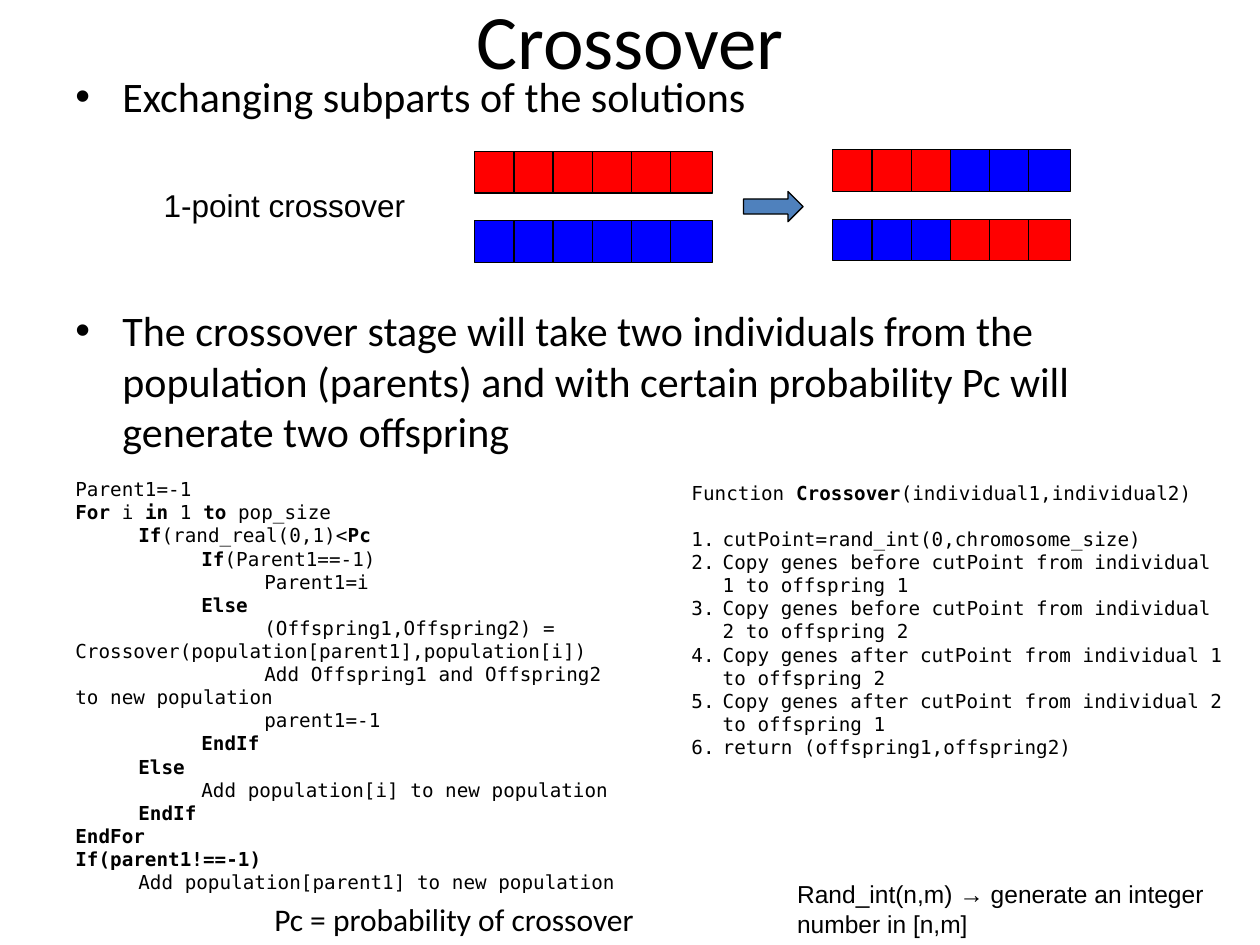
from lxml import etree
from pptx import Presentation
from pptx.dml.color import RGBColor
from pptx.enum.shapes import MSO_SHAPE
from pptx.enum.text import MSO_ANCHOR, PP_ALIGN
from pptx.oxml.ns import qn
from pptx.util import Cm, Pt

RECT, ARROW = MSO_SHAPE.RECTANGLE, MSO_SHAPE.RIGHT_ARROW
MIDDLE, CENTER = MSO_ANCHOR.MIDDLE, PP_ALIGN.CENTER
BLACK = RGBColor(0, 0, 0)
RED = RGBColor(255, 0, 0)
BLUE = RGBColor(0, 0, 255)
STEEL = RGBColor(0x4F, 0x81, 0xBD)
MONO = "DejaVu Sans Mono"
TAB = 1.27
CELL, STEP, DROP = 0.84, 0.79, 1.4

POINTS = [
    "Exchanging subparts of the solutions",
    "The crossover stage will take two individuals from the population "
    "(parents) and with certain probability Pc will generate two offspring",
]
# Indent level and text of each line; words between asterisks are bold.
LOOP = [
    (0, "Parent1=-1"),
    (0, "*For *i *in* 1 *to *pop_size"),
    (1, "*If*(rand_real(0,1)<*Pc*"),
    (2, "*If*(Parent1==-1)"),
    (3, "Parent1=i"),
    (2, "*Else*"),
    (3, "(Offspring1,Offspring2) = Crossover(population[parent1],population[i])"),
    (3, "Add Offspring1 and Offspring2 to new population"),
    (3, "parent1=-1"),
    (2, "*EndIf*"),
    (1, "*Else*"),
    (2, "Add population[i] to new population"),
    (1, "*EndIf*"),
    (0, "*EndFor*"),
    (0, "*If(parent1!==-1)*"),
    (1, "Add population[parent1] to new population"),
]
HEAD = "Function *Crossover*(individual1,individual2)"
STEPS = [
    "cutPoint=rand_int(0,chromosome_size)",
    "Copy genes before cutPoint from individual 1 to offspring 1",
    "Copy genes before cutPoint from individual 2 to offspring 2",
    "Copy genes after cutPoint from individual 1 to offspring 2",
    "Copy genes after cutPoint from individual 2 to offspring 1",
    "return (offspring1,offspring2)",
]


def add_text(slide, box, lines, size, face, wrap=True):
    """Add a text box with one paragraph per line and return its frame."""
    frame = slide.shapes.add_textbox(*map(Cm, box)).text_frame
    frame.word_wrap = wrap
    for i, line in enumerate(lines):
        para = frame.add_paragraph() if i else frame.paragraphs[0]
        for j, part in enumerate(line.split("*")):
            if part:
                run = para.add_run()
                run.text = part
                run.font.bold = j % 2 == 1
                run.font.size = Pt(size)
                run.font.name = face
                run.font.color.rgb = BLACK
    return frame


def indent(para, left, first):
    props = para._p.get_or_add_pPr()
    props.set("marL", str(Cm(left)))
    props.set("indent", str(Cm(first)))
    return props


def add_mark(para, hang, tag, **attrs):
    """Hang the paragraph behind a bullet or number."""
    props = indent(para, hang, -hang)
    if tag == "a:buChar":
        etree.SubElement(props, qn("a:buFont"), typeface="Arial")
    etree.SubElement(props, qn(tag), **attrs)


def add_block(slide, kind, box, fill):
    shape = slide.shapes.add_shape(kind, *map(Cm, box))
    shape.shadow.inherit = False
    shape.fill.solid()
    shape.fill.fore_color.rgb = fill
    shape.line.color.rgb = BLACK
    shape.line.width = Pt(0.75)


def add_pair(slide, left, top, rows):
    """Draw two chromosomes, one above the other."""
    for i, row in enumerate(rows):
        for j, fill in enumerate(row):
            box = (left + j * STEP, top + i * DROP, CELL, CELL)
            add_block(slide, RECT, box, fill)


def add_title(slide, box):
    frame = add_text(slide, box, ["Crossover"], 44, "Calibri")
    frame.vertical_anchor = MIDDLE
    frame.paragraphs[0].alignment = CENTER


def add_points(slide, box):
    frame = add_text(slide, box, POINTS, 24, "Calibri")
    for para in frame.paragraphs:
        add_mark(para, 0.95, "a:buChar", char="•")
    frame.paragraphs[1].space_before = Pt(105)


def add_swap(slide, left, top):
    """Show parents, arrow and offspring of a one-point crossover."""
    label = (left, top + 0.61, 5.44, 1.02)
    add_text(slide, label, ["1-point crossover"], 18, "Arial", False)
    add_pair(slide, left + 6.52, top + 0.03, [[RED] * 6, [BLUE] * 6])
    add_pair(slide, left + 13.74, top,
             [[RED] * 3 + [BLUE] * 3, [BLUE] * 3 + [RED] * 3])
    add_block(slide, ARROW, (left + 11.94, top + 0.84, 1.2, 0.61), STEEL)


def add_loop(slide, box):
    frame = add_text(slide, box, [line for _, line in LOOP], 11, MONO)
    for para, (level, _) in zip(frame.paragraphs, LOOP):
        indent(para, 0, level * TAB)


def add_steps(slide, box):
    frame = add_text(slide, box, [HEAD] + STEPS, 11, MONO)
    head, *steps = frame.paragraphs
    head.space_after = Pt(13)
    for para in steps:
        add_mark(para, 0.63, "a:buAutoNum", type="arabicPeriod")


def add_notes(slide):
    add_text(slide, (15.82, 17.6, 9.58, 1.45),
             ["Rand_int(n,m) → generate an integer number in [n,m]"],
             14, "Arial")
    add_text(slide, (5.28, 18.01, 7.9, 1.02),
             ["Pc = probability of crossover"], 18, "Calibri", False)


def main():
    deck = Presentation()
    deck.slide_width, deck.slide_height = Cm(25.4), Cm(19.05)
    slide = deck.slides.add_slide(deck.slide_layouts[6])
    add_title(slide, (1.27, -0.81, 22.86, 3.18))
    add_points(slide, (1.27, 1.3, 22.86, 12.57))
    add_swap(slide, 3.05, 3.02)
    add_loop(slide, (1.27, 9.5, 11.56, 10.13))
    add_steps(slide, (13.69, 9.58, 11.28, 6.38))
    add_notes(slide)
    deck.save("out.pptx")


if __name__ == "__main__":
    main()
